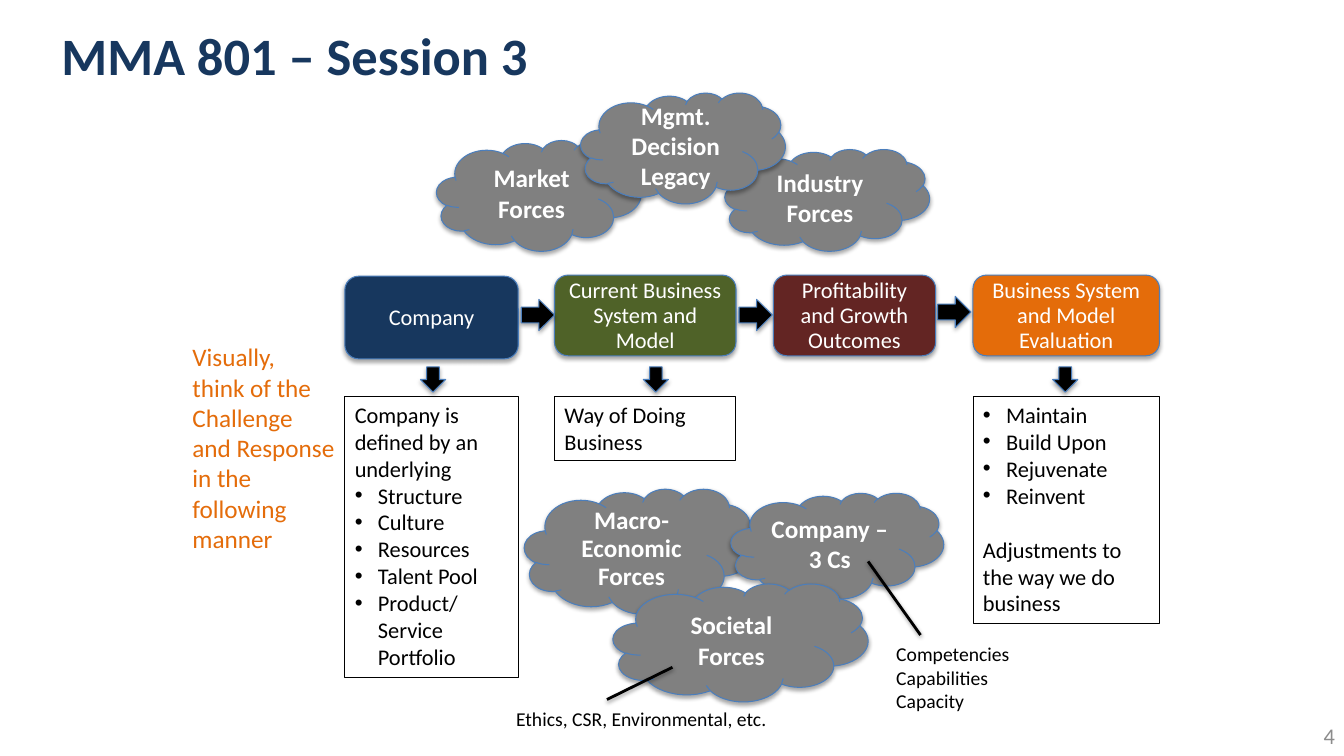
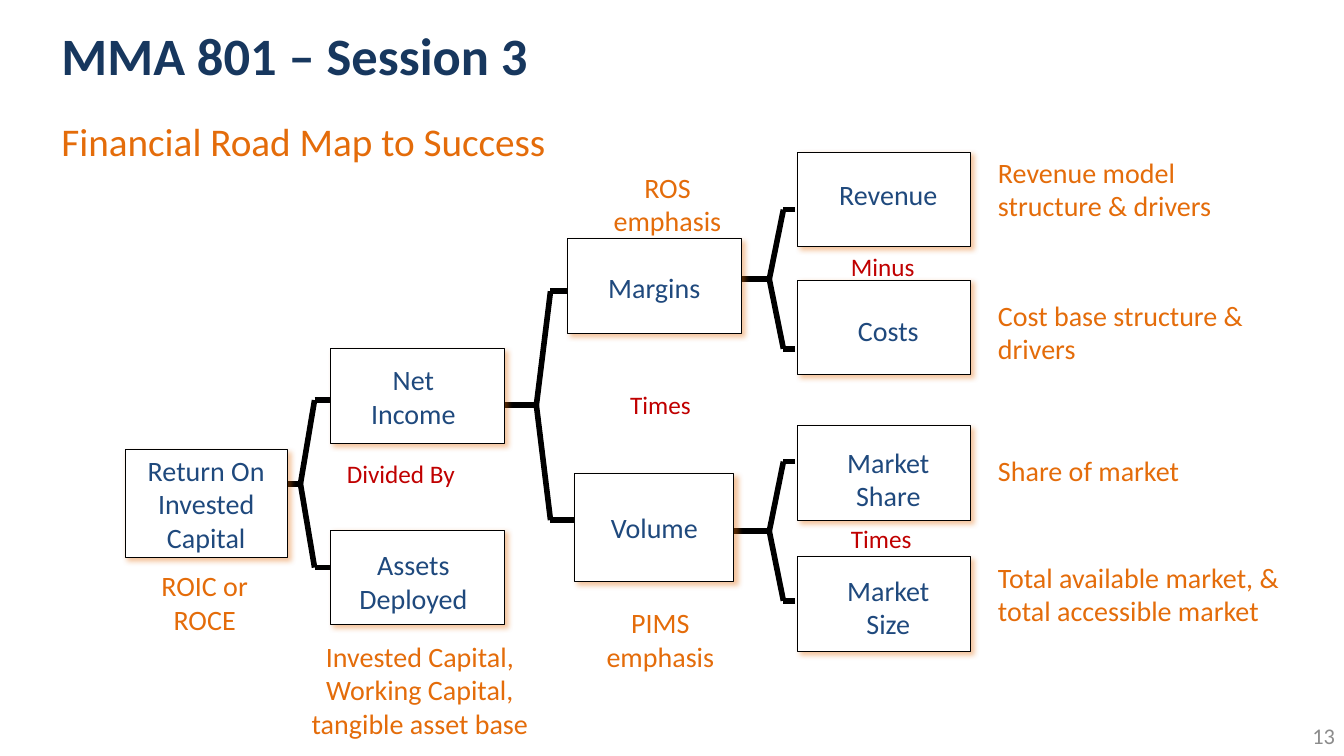
from lxml import etree
from pptx import Presentation
from pptx.dml.color import RGBColor
from pptx.enum.shapes import MSO_CONNECTOR as Line, MSO_SHAPE as Preset
from pptx.enum.text import MSO_ANCHOR as Anchor, MSO_AUTO_SIZE as AutoSize, PP_ALIGN as Align
from pptx.oxml.ns import qn
from pptx.util import Inches, Pt

COLORS = {
    "navy": "17375E", "green": "4F6228", "maroon": "632523", "orange": "E46C0A",
    "gray": "808080", "blue": "1F497D", "red": "C00000", "outline": "4B7EBC",
    "number": "8C8C8C", "black": "000000", "white": "FFFFFF",
}
# colour, opacity %, blur pt, distance pt, angle
SOFT = ("black", 35, 3.1, 1.8, 90)
LINE_SOFT = ("black", 38, 3.1, 1.6, 90)
GLOW = ("orange", 40, 4, 3, 45)


def rgb(name):
    return RGBColor.from_string(COLORS[name])


def set_shadow(shape, shadow=None):
    """Give the shape this shadow, or none at all."""
    effects = etree.SubElement(shape._element.spPr, qn("a:effectLst"))
    if shadow:
        color, opacity, blur, distance, angle = shadow
        outer = etree.SubElement(
            effects, qn("a:outerShdw"), blurRad=str(Pt(blur)), dist=str(Pt(distance)),
            dir=str(angle * 60000), algn="ctr", rotWithShape="0")
        tint = etree.SubElement(outer, qn("a:srgbClr"), val=COLORS[color])
        etree.SubElement(tint, qn("a:alpha"), val=str(opacity * 1000))


def set_bullet(para):
    props = para._p.get_or_add_pPr()
    props.set("marL", str(Inches(0.23)))
    props.set("indent", str(-Inches(0.23)))
    # Bullet elements must come before the default run properties.
    defaults = props.find(qn("a:defRPr"))
    for tag, attributes in (("a:buFont", {"typeface": "Arial"}), ("a:buChar", {"char": "•"})):
        mark = etree.SubElement(props, qn(tag), attributes)
        if defaults is not None:
            defaults.addprevious(mark)


class Deck:
    FONT = "Calibri"

    def __init__(self):
        self.deck = Presentation()
        self.deck.slide_width, self.deck.slide_height = Inches(13.33), Inches(7.5)
        self.page = None

    def new_page(self, title, number):
        self.page = self.deck.slides.add_slide(self.deck.slide_layouts[5])
        box = self.page.shapes.title
        box.left, box.top, box.width, box.height = map(Inches, (0.51, 0.07, 10.94, 0.94))
        self.set_text(box, [title], 37.5, "navy", bold=True, anchor=Anchor.MIDDLE)
        self.text((11.71, 7.1, 1.63, 0.4), [number], 16, "number",
                  align=Align.RIGHT, anchor=Anchor.MIDDLE)

    def set_text(self, shape, lines, size, color, bold=False, align=Align.LEFT,
                 anchor=Anchor.TOP, spacing=None, wrap=True):
        frame = shape.text_frame
        frame.text = "\n".join(lines)
        frame.word_wrap, frame.auto_size = wrap, AutoSize.NONE
        frame.vertical_anchor = anchor
        for para in frame.paragraphs:
            para.alignment = align
            para.font.name, para.font.size, para.font.bold = self.FONT, Pt(size), bold
            para.font.color.rgb = rgb(color)
            if spacing:
                para.line_spacing = Pt(spacing)
        return frame

    def text(self, at, lines, size, color, **style):
        box = self.page.shapes.add_textbox(*map(Inches, at))
        self.set_text(box, lines, size, color, **style)

    def shape(self, preset, at, fill=None, line="outline", width=0.75, shadow=SOFT):
        shape = self.page.shapes.add_shape(preset, *map(Inches, at))
        if fill:
            shape.fill.solid()
            shape.fill.fore_color.rgb = rgb(fill)
        else:
            shape.fill.background()
        shape.line.color.rgb, shape.line.width = rgb(line), Pt(width)
        set_shadow(shape, shadow)
        return shape

    def stage(self, at, label, fill):
        box = self.shape(Preset.ROUNDED_RECTANGLE, at, fill)
        self.set_text(box, [label], 16, "white", align=Align.CENTER,
                      anchor=Anchor.MIDDLE, spacing=18)

    def cloud(self, at, label, spacing=None):
        cloud = self.shape(Preset.CLOUD, at, "gray")
        self.set_text(cloud, [label], 18, "white", bold=True, align=Align.CENTER,
                      anchor=Anchor.MIDDLE, spacing=spacing)

    def card(self, at, intro=(), bullets=(), outro=()):
        """Outlined box: opening text, bulleted items, then closing text."""
        box = self.shape(Preset.RECTANGLE, at, line="black", width=0.5, shadow=None)
        frame = self.set_text(box, [*intro, *bullets, *outro], 16, "black")
        first_outro = len(intro) + len(bullets)
        for para in frame.paragraphs[len(intro):first_outro]:
            set_bullet(para)
        for para in frame.paragraphs[first_outro:]:
            para.space_before = Pt(19.5)

    def line(self, start, end, width, shadow=None):
        line = self.page.shapes.add_connector(
            Line.STRAIGHT, *map(Inches, (*start, *end)))
        line.line.color.rgb, line.line.width = rgb("black"), Pt(width)
        set_shadow(line, shadow)

    def bracket(self, start_x, joint, arms):
        """Fork from the joint to each arm, given as (end x, y)."""
        joint_x, joint_y = joint
        bend_x = joint_x + 0.14
        self.line((start_x, joint_y), joint, 4)
        for end_x, y in arms:
            self.line(joint, (bend_x, y), 4)
            self.line((bend_x, y), (end_x, y), 4)

    def node(self, at, lines, shift=(0, 0)):
        """Tree box whose label sits off centre by shift."""
        box = self.shape(Preset.RECTANGLE, at, "white", "black", shadow=GLOW)
        frame = self.set_text(box, lines, 20, "blue", align=Align.CENTER,
                              anchor=Anchor.MIDDLE)
        right, down = shift
        frame.margin_left, frame.margin_right = Inches(0.1 + right), Inches(0.1 - right)
        frame.margin_top, frame.margin_bottom = Inches(0.1 + down), Inches(0.1 - down)


def build_forces(deck):
    deck.new_page("MMA 801 – Session 3", "4")
    for at, label, fill in (
            ((3.42, 2.74, 1.72, 0.82), "Company", "navy"),
            ((5.5, 2.73, 1.8, 0.8), "Current Business System and Model", "green"),
            ((7.67, 2.73, 1.61, 0.8), "Profitability and Growth Outcomes", "maroon"),
            ((9.65, 2.73, 1.85, 0.8), "Business System and Model Evaluation", "orange")):
        deck.stage(at, label, fill)
    for left, top in ((5.17, 2.97), (7.33, 2.97), (9.3, 2.94)):
        deck.shape(Preset.RIGHT_ARROW, (left, top, 0.33, 0.31), "black")
    for left in (4.17, 6.38, 10.44):
        deck.shape(Preset.DOWN_ARROW, (left, 3.64, 0.25, 0.25), "black")

    deck.card((3.42, 3.93, 1.72, 2.79), ["Company is defined by an underlying"],
              ["Structure", "Culture", "Resources", "Talent Pool",
               "Product/ Service Portfolio"])
    deck.card((5.5, 3.93, 1.79, 0.64), ["Way of Doing Business"])
    deck.card((9.65, 3.93, 1.85, 2.26),
              bullets=["Maintain", "Build Upon", "Rejuvenate", "Reinvent"],
              outro=["Adjustments to the way we do business"])

    for at, label, spacing in (
            ((4.33, 1.39, 2.03, 1.1), "Market Forces", None),
            ((7.19, 1.48, 2.03, 1.01), "Industry Forces", None),
            ((5.2, 4.85, 2.29, 1.24), "Macro-Economic Forces", 20),
            ((7.25, 4.89, 2.11, 1.05), "Company – 3 Cs", None),
            ((5.76, 0.92, 2.03, 1.1), "Mgmt. Decision Legacy", None),
            ((6.08, 5.79, 2.53, 1.17), "Societal Forces", None)):
        deck.cloud(at, label, spacing)

    deck.line((8.61, 5.57), (9.13, 6.3), 2, LINE_SOFT)
    deck.line((6.02, 6.94), (6.67, 6.62), 2, LINE_SOFT)
    deck.text((8.79, 6.32, 1.41, 0.81), ["Competencies", "Capabilities", "Capacity"],
              14, "black")
    deck.text((5.02, 6.96, 4.43, 0.34), ["Ethics, CSR, Environmental, etc."], 14, "black")
    deck.text((1.81, 3.34, 1.61, 2.22),
              ["Visually,\vthink of the Challenge and Response in the following manner"],
              18, "orange")


def build_road_map(deck):
    deck.new_page("MMA 801 – Session 3", "13")
    deck.text((0.51, 1.11, 12.35, 0.77), ["Financial Road Map to Success"], 28, "orange")

    deck.bracket(2.54, (2.98, 4.8), ((3.28, 3.97), (3.28, 5.63)))
    deck.bracket(4.88, (5.32, 4.02), ((5.63, 2.89), (5.7, 5.16)))
    for joint_y in (2.77, 5.27):
        deck.bracket(7.25, (7.63, joint_y),
                     [(7.89, joint_y + rise) for rise in (-0.69, 0.69)])

    deck.node((1.24, 4.46, 1.61, 1.07), ["Return On", "Invested\vCapital"])
    deck.node((5.7, 4.7, 1.58, 1.07), ["Volume"])
    for left, top, lines, shift in (
            (3.28, 3.46, ["Net", "Income"], (-0.04, 0)),
            (3.28, 5.26, ["Assets", "Deployed"], (-0.04, 0.04)),
            (5.63, 2.37, ["Margins"], (0, 0.01)),
            (7.91, 1.51, ["Revenue"], (0.04, -0.05)),
            (7.91, 2.78, ["Costs"], (0.04, 0.03)),
            (7.91, 4.22, ["Market", "Share"], (0.04, 0.06)),
            (7.91, 5.52, ["Market", "Size"], (0.04, 0.03))):
        deck.node((left, top, 1.72, 0.94), lines, shift)

    for left, top, width, operator in (
            (3.32, 4.5, 1.31, "Divided By"), (6.19, 3.81, 0.72, "Times"),
            (8.38, 2.44, 0.75, "Minus"), (8.38, 5.14, 0.72, "Times")):
        deck.text((left, top, width, 0.4), [operator], 18, "red",
                  align=Align.CENTER, anchor=Anchor.MIDDLE, wrap=False)

    for at, note in (
            ((1.28, 5.59, 1.5, 0.77), "ROIC or ROCE"),
            ((2.88, 6.29, 2.57, 1.11),
             "Invested Capital,\vWorking Capital,\vtangible asset base"),
            ((5.83, 5.96, 1.44, 0.77), "PIMS emphasis"),
            ((5.9, 1.64, 1.44, 0.77), "ROS emphasis")):
        deck.text(at, [note], 20, "orange", align=Align.CENTER)

    for top, width, driver in (
            (1.49, 2.56, "Revenue model structure & drivers"),
            (2.91, 2.66, "Cost base structure & drivers"),
            (4.45, 2.4, "Share of market"),
            (5.51, 3.06, "Total available market, & total accessible market")):
        deck.text((9.8, top, width, 0.77), [driver], 20, "orange")


def main():
    deck = Deck()
    build_forces(deck)
    build_road_map(deck)
    deck.deck.save("out.pptx")


if __name__ == "__main__":
    main()
